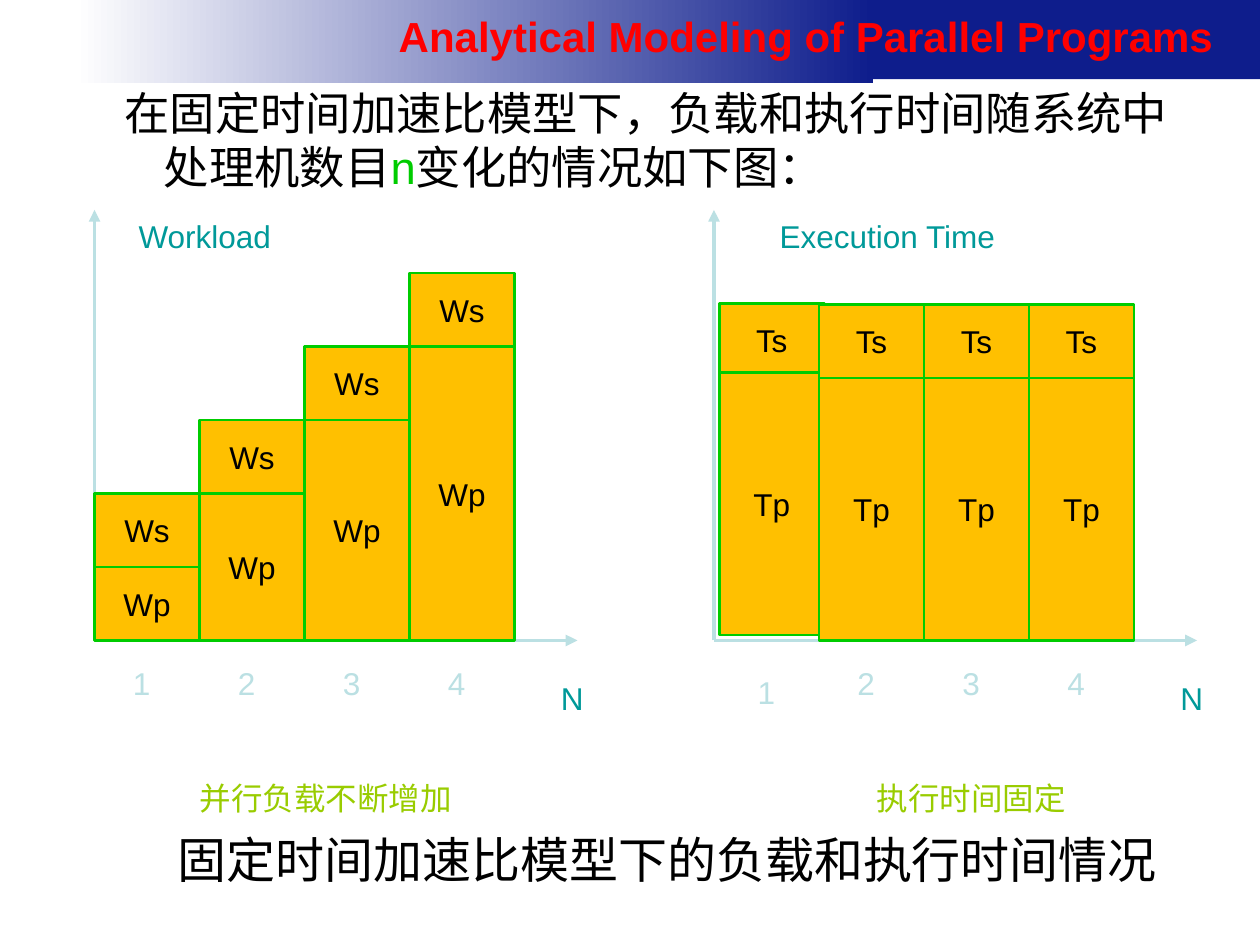
import pptx
import pptx.util
import pptx.dml.color
import pptx.enum.shapes
import pptx.enum.text
from pptx.oxml.ns import qn
from lxml import etree

Pt = pptx.util.Pt
ALIGN = pptx.enum.text.PP_ALIGN
ANCHOR = pptx.enum.text.MSO_ANCHOR
RECT = pptx.enum.shapes.MSO_SHAPE.RECTANGLE
STRAIGHT = pptx.enum.shapes.MSO_CONNECTOR.STRAIGHT

TITLE = "Analytical Modeling of Parallel Programs"
INTRO = [
    ("在固定时间加速比模型下，负载和执行时间随系统中处理机数目", "000000"),
    ("n", "00CC00"),
    ("变化的情况如下图：", "000000"),
]
CAPTION = "固定时间加速比模型下的负载和执行时间情况"

NAVY, AXIS, TEAL, LIME = "0E1D8C", "BBE0E3", "009999", "99CC00"
BAR_FILL, BAR_LINE = "FFC000", "00CC00"
BASE, AXIS_TOP, AXIS_LENGTH = 366, 120, 276
BAR_W, UNIT = 60, 42

# Bars: left, top of the upper part, top and height of the lower part, top of the number.
CHARTS = [
    {
        "x": 54, "heading": ("Workload", 72, 90), "parts": ("Ws", "Wp"),
        "bars": [(54 + BAR_W * i, BASE - UNIT * (i + 2), BASE - UNIT * (i + 1),
                  UNIT * (i + 1), 372) for i in range(4)],
        "note": ("并行负载不断增加", 84, 204),
    },
    {
        "x": 408, "heading": ("Execution Time", 426, 162), "parts": ("Ts", "Tp"),
        "bars": [(411, 173.3, 213, 150, 377.3)]
                + [(468 + BAR_W * i, 174, 216, 150, 372) for i in range(3)],
        "note": ("执行时间固定", 414, 282),
    },
]

prs = pptx.Presentation()
prs.slide_width, prs.slide_height = Pt(720), Pt(540)
s = prs.slides.add_slide(prs.slide_layouts[5])


def rgb(value):
    return pptx.dml.color.RGBColor.from_string(value)


def write(shape, text, size, color, align=ALIGN.CENTER, bold=False):
    tf = shape.text_frame
    tf.word_wrap = False
    tf.auto_size = pptx.enum.text.MSO_AUTO_SIZE.NONE
    tf.vertical_anchor = ANCHOR.MIDDLE
    p = tf.paragraphs[0]
    p.text = text
    p.alignment = align
    p.font.name, p.font.size, p.font.bold = "Arial", Pt(size), bold
    p.font.color.rgb = rgb(color)


def add_label(text, x, y, w, h, color, size=18):
    write(s.shapes.add_textbox(Pt(x), Pt(y), Pt(w), Pt(h)), text, size, color)


def add_rect(x, y, w, h):
    shape = s.shapes.add_shape(RECT, Pt(x), Pt(y), Pt(w), Pt(h))
    shape.shadow.inherit = False
    shape.line.fill.background()
    return shape


def add_bar_part(text, x, y, h):
    shape = add_rect(x, y, BAR_W, h)
    shape.fill.solid()
    shape.fill.fore_color.rgb = rgb(BAR_FILL)
    shape.line.color.rgb = rgb(BAR_LINE)
    shape.line.width = Pt(1.5)
    write(shape, text, 18, "000000")


def add_axis(x, end_x, end_y):
    line = s.shapes.add_connector(STRAIGHT, Pt(x), Pt(BASE), Pt(end_x), Pt(end_y))
    line.line.color.rgb = rgb(AXIS)
    line.line.width = Pt(2.25)
    spPr = line.element.spPr
    etree.SubElement(spPr.find(qn("a:ln")), qn("a:tailEnd"), type="triangle")
    etree.SubElement(spPr, qn("a:effectLst"))


# Banner and title
banner = add_rect(433.5, 0, 286.5, 45.3)
banner.fill.solid()
banner.fill.fore_color.rgb = rgb(NAVY)
fade = add_rect(42.5, 0, 456.5, 47.7)
fade.fill.gradient()
fade.fill.gradient_angle = 0
for stop, (position, color) in zip(fade.fill.gradient_stops, [(0, "FFFFFF"), (1, NAVY)]):
    stop.position = position
    stop.color.rgb = rgb(color)

title = s.shapes.title
title.element.getparent().append(title.element)  # in front of the banner
title.left, title.top, title.width, title.height = Pt(206.5), Pt(0), Pt(494), Pt(41)
write(title, TITLE, 24, "FF0000", ALIGN.RIGHT, bold=True)

# Introduction with a hanging indent
tf = s.shapes.add_textbox(Pt(28), Pt(45), Pt(672), Pt(72)).text_frame
tf.word_wrap = True
p = tf.paragraphs[0]
pPr = p._p.get_or_add_pPr()
pPr.set("marL", str(Pt(58.5)))
pPr.set("indent", str(Pt(-22.5)))
p.font.name, p.font.size = "Arial", Pt(25.9)
for text, color in INTRO:
    r = p.add_run()
    r.text = text
    r.font.color.rgb = rgb(color)

# Stacked bar diagrams
for chart in CHARTS:
    x = chart["x"]
    add_axis(x, x, AXIS_TOP)
    add_axis(x, x + AXIS_LENGTH, BASE)
    upper, lower = chart["parts"]
    for number, (left, upper_top, lower_top, height, number_top) in enumerate(chart["bars"], 1):
        add_bar_part(upper, left, upper_top, UNIT)
        add_bar_part(lower, left, lower_top, height)
        add_label(str(number), left + 6, number_top, 42, 36, AXIS)
    heading, left, width = chart["heading"]
    add_label(heading, left, 114, width, 42, TEAL)
    add_label("N", x + 246, 378, 54, 42, TEAL)
    note, left, width = chart["note"]
    add_label(note, left, 432, width, 48, LIME)

add_label(CAPTION, 84.3, 466.8, 594, 48, "000000", size=28)

prs.save("out.pptx")
